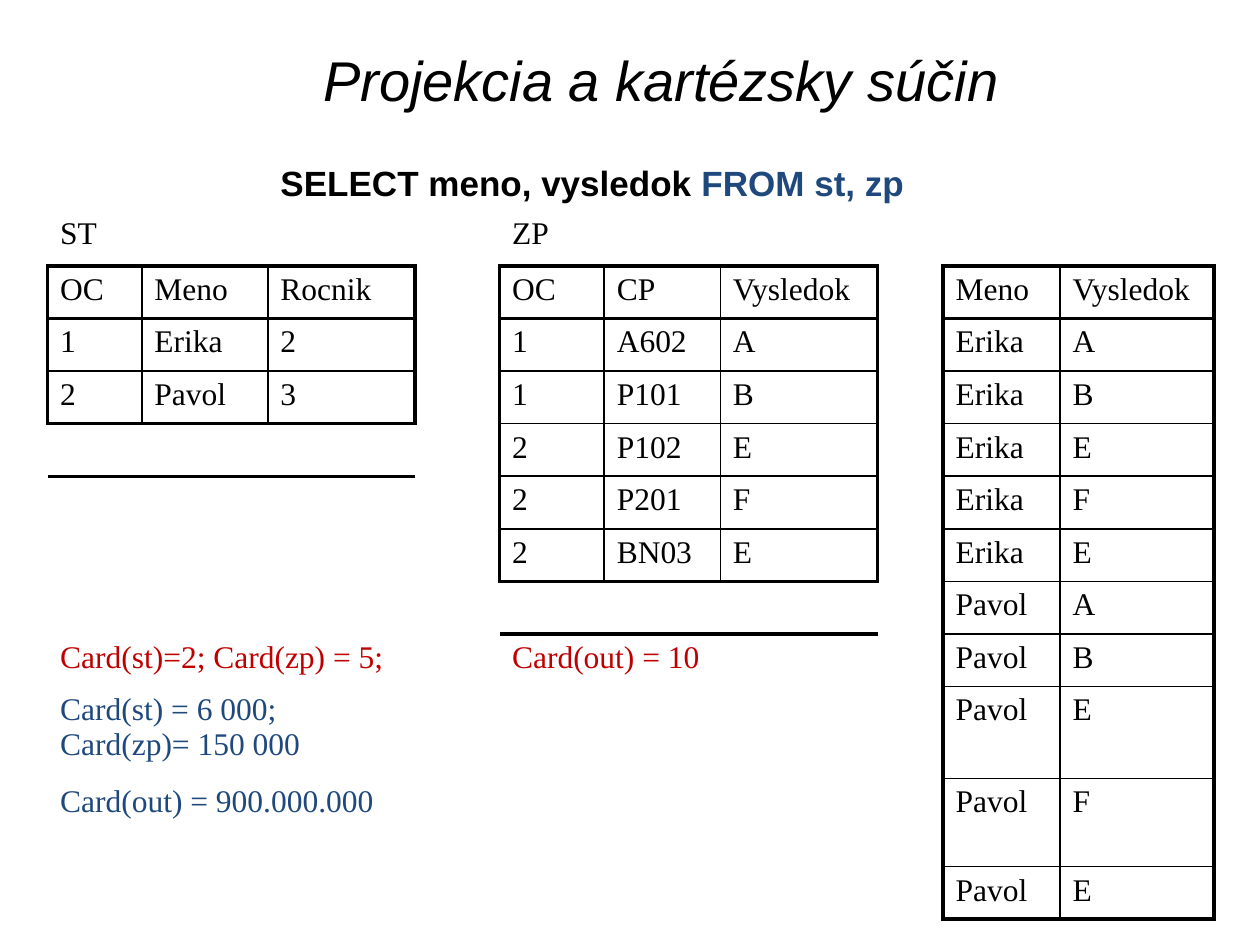
from lxml import etree
from pptx import Presentation
from pptx.dml.color import RGBColor
from pptx.enum.text import MSO_ANCHOR, PP_ALIGN
from pptx.oxml.ns import qn
from pptx.util import Cm, Pt

CENTER = PP_ALIGN.CENTER
MIDDLE = MSO_ANCHOR.MIDDLE

BLACK, BLUE, RED = "000000", "1F497D", "C00000"
NO_GRID_STYLE = "{2D5ABB26-0587-4C30-8999-92F81FD0307C}"
THICK, THIN = 2.25, 1

COL_WIDTHS = [1.9, 2.54, 2.97, 1.7, 2.11, 2.34, 3.17, 1.32, 2.36, 3.1]
ROW_HEIGHTS = [1.12] + [1.06] * 8 + [1.85, 1.78, 1.06]

# Relations: first column and rows, header first
STUDENTS = [("OC", "Meno", "Rocnik"), ("1", "Erika", "2"), ("2", "Pavol", "3")]
EXAMS = [
    ("OC", "CP", "Vysledok"),
    ("1", "A602", "A"),
    ("1", "P101", "B"),
    ("2", "P102", "E"),
    ("2", "P201", "F"),
    ("2", "BN03", "E"),
]
PRODUCT = [("Meno", "Vysledok")] + [
    (student[1], exam[2]) for student in STUDENTS[1:] for exam in EXAMS[1:]
]
RELATIONS = [(0, STUDENTS), (4, EXAMS), (8, PRODUCT)]

# Captions and cardinalities: row, column, columns spanned, text, colour
NOTES = [
    (0, 0, 1, "ST", BLACK),
    (0, 4, 1, "ZP", BLACK),
    (8, 0, 3, "Card(st)=2; Card(zp) = 5;", RED),
    (8, 4, 3, "Card(out) = 10", RED),
    (9, 0, 3, "Card(st) = 6 000; Card(zp)= 150 000", BLUE),
    (10, 0, 3, "Card(out) = 900.000.000", BLUE),
    (10, 4, 3, "", BLACK),
]


def rgb(color):
    return RGBColor.from_string(color)


def style_run(r, font, size, color, bold=False, italic=False):
    r.font.name = font
    r.font.size = Pt(size)
    r.font.color.rgb = rgb(color)
    r.font.bold = bold
    r.font.italic = italic


def add_heading(slide, left, top, width, height, parts, size, **style):
    """Centred text box; parts are (text, colour) pairs."""
    s = slide.shapes.add_textbox(Cm(left), Cm(top), Cm(width), Cm(height))
    tf = s.text_frame
    tf.word_wrap = True
    tf.vertical_anchor = MIDDLE
    p = tf.paragraphs[0]
    p.alignment = CENTER
    for text, color in parts:
        r = p.add_run()
        r.text = text
        style_run(r, "Arial", size, color, **style)
    return p


def add_plain_table(slide, left, top):
    frame = slide.shapes.add_table(
        len(ROW_HEIGHTS), len(COL_WIDTHS), Cm(left), Cm(top),
        Cm(sum(COL_WIDTHS)), Cm(sum(ROW_HEIGHTS)))
    table = frame.table
    table.first_row = table.horz_banding = False
    table._tbl.tblPr.find(qn("a:tableStyleId")).text = NO_GRID_STYLE
    for column, width in zip(table.columns, COL_WIDTHS):
        column.width = Cm(width)
    for row, height in zip(table.rows, ROW_HEIGHTS):
        row.height = Cm(height)
    return table


def write_cell(cell, text, color=BLACK):
    cell.text_frame.text = text
    for r in cell.text_frame.paragraphs[0].runs:
        style_run(r, "Times New Roman", 18, color)


def relation_borders(first_col, rows):
    """Yield (row, column, side, width), shared edges on both neighbours."""
    last_row, last_col = len(rows), first_col + len(rows[0]) - 1
    for row in range(1, last_row + 1):
        for col in range(first_col, last_col + 1):
            left = THICK if col == first_col else THIN
            right = THICK if col == last_col else THIN
            upper = THICK if row <= 2 else THIN
            lower = THICK if row in (1, last_row) else THIN
            yield row, col, "L", left
            yield row, col - 1, "R", left
            yield row, col, "R", right
            yield row, col + 1, "L", right
            yield row, col, "T", upper
            yield row - 1, col, "B", upper
            yield row, col, "B", lower
            yield row + 1, col, "T", lower


def set_borders(cell, widths):
    tc_pr = cell._tc.get_or_add_tcPr()
    for side in "LRTB":
        if side in widths:
            ln = etree.SubElement(tc_pr, qn("a:ln" + side), w=str(Pt(widths[side])))
            fill = etree.SubElement(ln, qn("a:solidFill"))
            etree.SubElement(fill, qn("a:srgbClr"), val=BLACK)


def fill_table(table):
    # Notes around the relations
    for row, col, span, text, color in NOTES:
        cell = table.cell(row, col)
        if span > 1:
            cell.merge(table.cell(row, col + span - 1))
        write_cell(cell, text, color)

    # Relation values and their borders
    borders = {}
    for first_col, rows in RELATIONS:
        for row, values in enumerate(rows, 1):
            for col, value in enumerate(values, first_col):
                write_cell(table.cell(row, col), value)
        for row, col, side, width in relation_borders(first_col, rows):
            borders.setdefault((row, col), {})[side] = width

    for row in range(len(ROW_HEIGHTS)):
        for col in range(len(COL_WIDTHS)):
            cell = table.cell(row, col)
            set_borders(cell, borders.get((row, col), {}))
            cell.fill.background()


def main():
    prs = Presentation()
    prs.slide_width, prs.slide_height = Cm(25.4), Cm(19.05)
    slide = prs.slides.add_slide(prs.slide_layouts[6])

    # Title and query
    add_heading(slide, 1.9, 0, 21.59, 3.18,
                [("\tProjekcia a kartézsky súčin", BLACK)], 32, italic=True)
    p = add_heading(slide, 0, 3.12, 22.63, 1.12,
                    [("SELECT meno, vysledok ", BLACK), ("FROM st, zp", BLUE)],
                    20, bold=True)
    p._p.get_or_add_pPr().set("indent", str(Cm(1.25)))

    # Relations with their product
    fill_table(add_plain_table(slide, 0.96, 4.24))

    prs.save("out.pptx")


if __name__ == "__main__":
    main()
